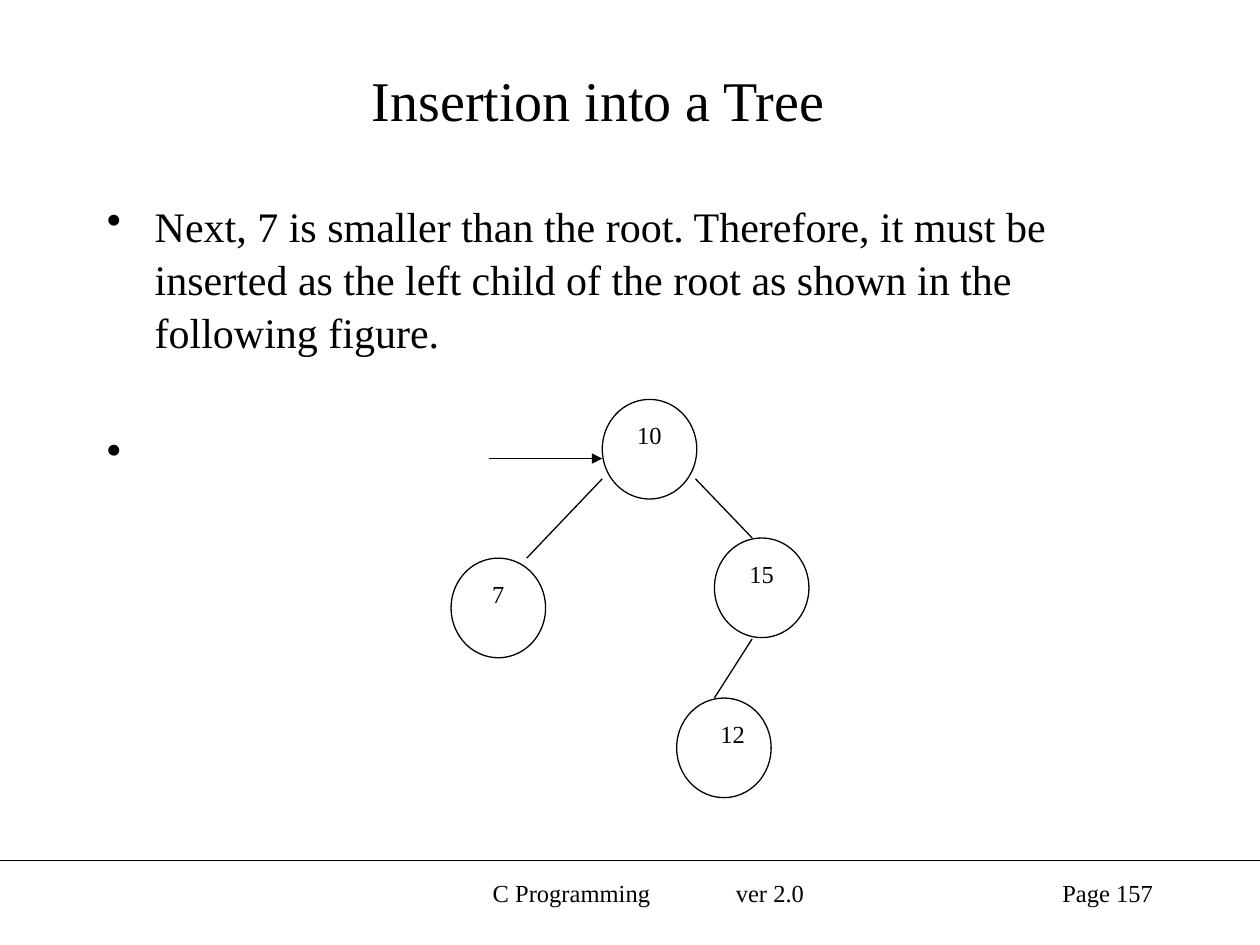
"""Build a slide on inserting a node into a binary tree."""
from dataclasses import dataclass

from lxml import etree
from pptx import Presentation
from pptx.dml.color import RGBColor
from pptx.enum.shapes import MSO_CONNECTOR, MSO_SHAPE
from pptx.enum.text import MSO_ANCHOR, PP_ALIGN
from pptx.oxml.ns import qn
from pptx.util import Inches, Pt

LEFT, CENTER, RIGHT = PP_ALIGN.LEFT, PP_ALIGN.CENTER, PP_ALIGN.RIGHT
TOP, MIDDLE = MSO_ANCHOR.TOP, MSO_ANCHOR.MIDDLE
OVAL, STRAIGHT = MSO_SHAPE.OVAL, MSO_CONNECTOR.STRAIGHT


@dataclass(frozen=True)
class Theme:
    """Colours, font and sizes of the slide."""
    ink: RGBColor = RGBColor(0, 0, 0)
    paper: RGBColor = RGBColor(255, 255, 255)
    font: str = "Times New Roman"
    title: int = 32
    body: int = 24
    label: int = 14
    line: float = 0.75


THEME = Theme()
NODE_SIZE = (0.75, 0.79)
NODES = [
    ("10", 4.78, 3.17, CENTER),
    ("15", 5.67, 4.27, CENTER),
    ("12", 5.37, 5.54, RIGHT),
    ("7", 3.58, 4.43, CENTER),
]
BRANCHES = [
    ((5.52, 3.8), (5.97, 4.27)),
    ((4.78, 3.8), (4.18, 4.43)),
    ((5.97, 5.07), (5.67, 5.54)),
]
BULLETS = [
    ("Next, 7 is smaller than the root. Therefore, it must be inserted as the "
     "left child of the root as shown in the following figure.", 0),
    (" ", 41),
]


def apply_format(target, values):
    """Set each named attribute on the target."""
    for name, value in values.items():
        setattr(target, name, value)


def style_paragraph(paragraph, text, size, align):
    """Write the text and give it the theme font."""
    paragraph.text = text
    paragraph.alignment = align
    apply_format(paragraph.font, {"name": THEME.font, "size": Pt(size)})
    paragraph.font.color.rgb = THEME.ink


def add_text(slide, box, text, size, align, anchor=TOP, inset=0.1):
    """Add a wrapped text box and return its first paragraph."""
    frame = slide.shapes.add_textbox(*map(Inches, box)).text_frame
    apply_format(frame, {"word_wrap": True, "vertical_anchor": anchor,
                         "margin_left": Inches(inset)})
    style_paragraph(frame.paragraphs[0], text, size, align)
    return frame.paragraphs[0]


def add_tab_stop(paragraph, position):
    """Add a left tab stop to the paragraph."""
    stops = etree.Element(qn("a:tabLst"))
    etree.SubElement(stops, qn("a:tab"), pos=str(Inches(position)), algn="l")
    paragraph._p.get_or_add_pPr().insert(0, stops)


def add_bullets(slide, box, bullets):
    """Add a text box of bulleted paragraphs."""
    frame = slide.shapes.add_textbox(*map(Inches, box)).text_frame
    apply_format(frame, {"word_wrap": True, "margin_top": Inches(0.07)})
    for index, (text, space) in enumerate(bullets):
        paragraph = frame.add_paragraph() if index else frame.paragraphs[0]
        properties = paragraph._p.get_or_add_pPr()
        properties.set("marL", str(Inches(0.38)))
        properties.set("indent", str(Inches(-0.38)))
        etree.SubElement(properties, qn("a:buChar"), char="•")
        style_paragraph(paragraph, text, THEME.body, LEFT)
        apply_format(paragraph, {"space_before": Pt(space), "line_spacing": 1.05})


def add_line(slide, start, end, arrow=False):
    """Add a straight line, with an arrowhead at its end if asked."""
    points = map(Inches, (*start, *end))
    connector = slide.shapes.add_connector(STRAIGHT, *points)
    connector.line.color.rgb = THEME.ink
    connector.line.width = Pt(THEME.line)
    if arrow:
        outline = connector.line._get_or_add_ln()
        etree.SubElement(outline, qn("a:tailEnd"), type="triangle")
    etree.SubElement(connector._element.spPr, qn("a:effectLst"))


def add_node(slide, value, left, top, align):
    """Add a tree node holding its value."""
    node = slide.shapes.add_shape(OVAL, *map(Inches, (left, top, *NODE_SIZE)))
    node.shadow.inherit = False
    node.fill.solid()
    node.fill.fore_color.rgb = THEME.paper
    node.line.color.rgb = THEME.ink
    node.line.width = Pt(THEME.line)
    node.text_frame.vertical_anchor = TOP
    style_paragraph(node.text_frame.paragraphs[0], value, THEME.label, align)


def add_footer(slide):
    """Add the rule, course name and page number."""
    add_line(slide, (0, 6.83), (10, 6.83))
    course = add_text(slide, (3.42, 6.92, 3.42, 0.5), "C Programming\tver 2.0",
                      THEME.label, LEFT, inset=0.49)
    add_tab_stop(course, 1.93)
    add_text(slide, (7.17, 6.92, 2.08, 0.5), "Page 157", THEME.label, RIGHT)


def main():
    """Build and save the slide."""
    deck = Presentation()
    apply_format(deck, {"slide_width": Inches(10), "slide_height": Inches(7.5)})
    slide = deck.slides.add_slide(deck.slide_layouts[6])
    add_footer(slide)
    add_text(slide, (0.5, 0.25, 8.5, 1.08), "Insertion into a Tree",
             THEME.title, CENTER, MIDDLE)
    add_bullets(slide, (0.75, 1.5, 8.5, 5.17), BULLETS)
    for node in NODES:
        add_node(slide, *node)
    for start, end in BRANCHES:
        add_line(slide, start, end)
    add_line(slide, (3.88, 3.64), (4.78, 3.64), arrow=True)
    deck.save("out.pptx")


if __name__ == "__main__":
    main()
